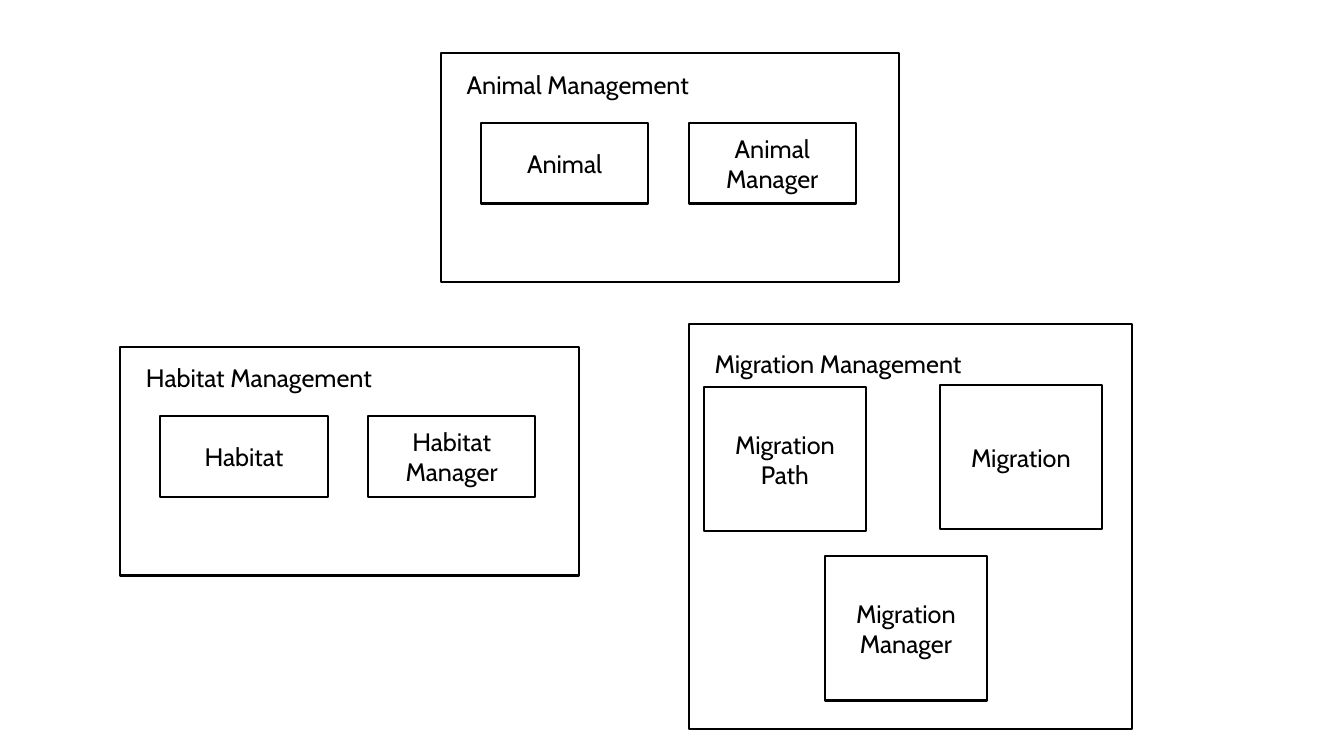
"""Build a slide of three management modules and the classes inside them."""
import pptx
import pptx.dml.color
import pptx.enum.shapes
import pptx.enum.text
import pptx.util

SLIDE_SIZE = (13.33, 7.5)
FONT, INK = "Cabin", "000000"

WIDE = {"size": (4.55, 2.27), "label": (0.16, 0.11), "class": (1.66, 0.8),
        "places": [(0.4, 0.69), (2.46, 0.69)]}
TALL = {"size": (4.4, 4.02), "label": (0.16, 0.2), "class": (1.61, 1.43),
        "places": [(0.15, 0.63), (2.49, 0.61), (1.35, 2.31)]}

MODULES = [
    ("Animal Management", 2.45, (4.37, 0.53), WIDE, ["Animal", "Animal Manager"]),
    ("Migration Management", 2.7, (6.83, 3.21), TALL,
     ["Migration Path", "Migration", "Migration Manager"]),
    ("Habitat Management", 2.5, (1.19, 3.44), WIDE, ["Habitat", "Habitat Manager"]),
]


def color(value):
    return pptx.dml.color.RGBColor.from_string(value)


def inches(*lengths):
    return [pptx.util.Inches(length) for length in lengths]


def offset(origin, step):
    return origin[0] + step[0], origin[1] + step[1]


def write(shape, text, align="LEFT", anchor="TOP", wrap=True, size=18):
    frame = shape.text_frame
    frame.word_wrap = wrap
    frame.vertical_anchor = pptx.enum.text.MSO_ANCHOR[anchor]
    if not wrap:
        frame.auto_size = pptx.enum.text.MSO_AUTO_SIZE.SHAPE_TO_FIT_TEXT
    para = frame.paragraphs[0]
    para.alignment = pptx.enum.text.PP_ALIGN[align]
    span = para.add_run()
    span.text = text
    span.font.name = FONT
    span.font.size = pptx.util.Pt(size)
    span.font.color.rgb = color(INK)


def add_box(page, place, size):
    box = page.shapes.add_shape(
        pptx.enum.shapes.MSO_SHAPE.RECTANGLE, *inches(*place, *size))
    box.shadow.inherit = False
    box.fill.background()
    box.line.color.rgb = color(INK)
    box.line.width = pptx.util.Pt(1.5)
    return box


def add_module(page, title, title_width, origin, plan, classes):
    add_box(page, origin, plan["size"])
    label = page.shapes.add_textbox(
        *inches(*offset(origin, plan["label"]), title_width, 0.4))
    write(label, title, wrap=False)
    for name, place in zip(classes, plan["places"]):
        box = add_box(page, offset(origin, place), plan["class"])
        write(box, name, align="CENTER", anchor="MIDDLE")


def main():
    deck = pptx.Presentation()
    deck.slide_width, deck.slide_height = inches(*SLIDE_SIZE)
    page = deck.slides.add_slide(deck.slide_layouts.get_by_name("Blank"))
    for module in MODULES:
        add_module(page, *module)
    deck.save("out.pptx")


if __name__ == "__main__":
    main()
